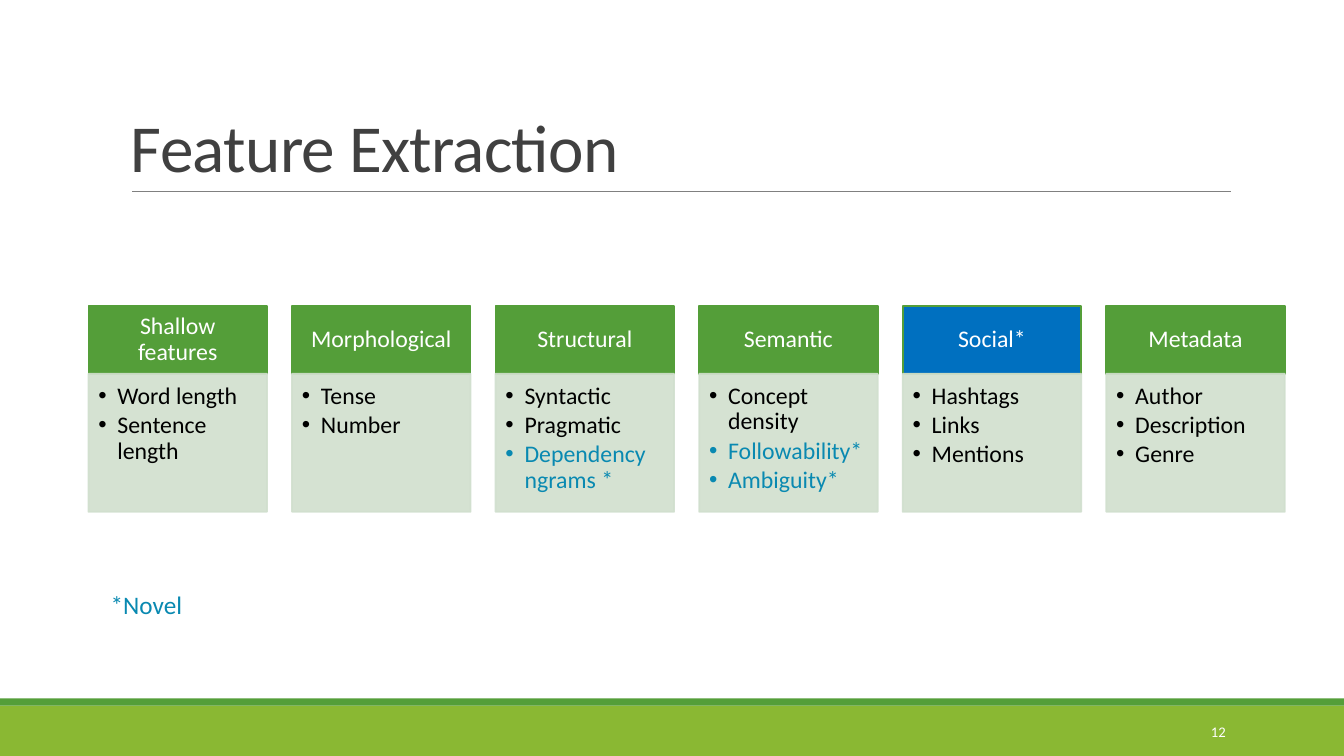
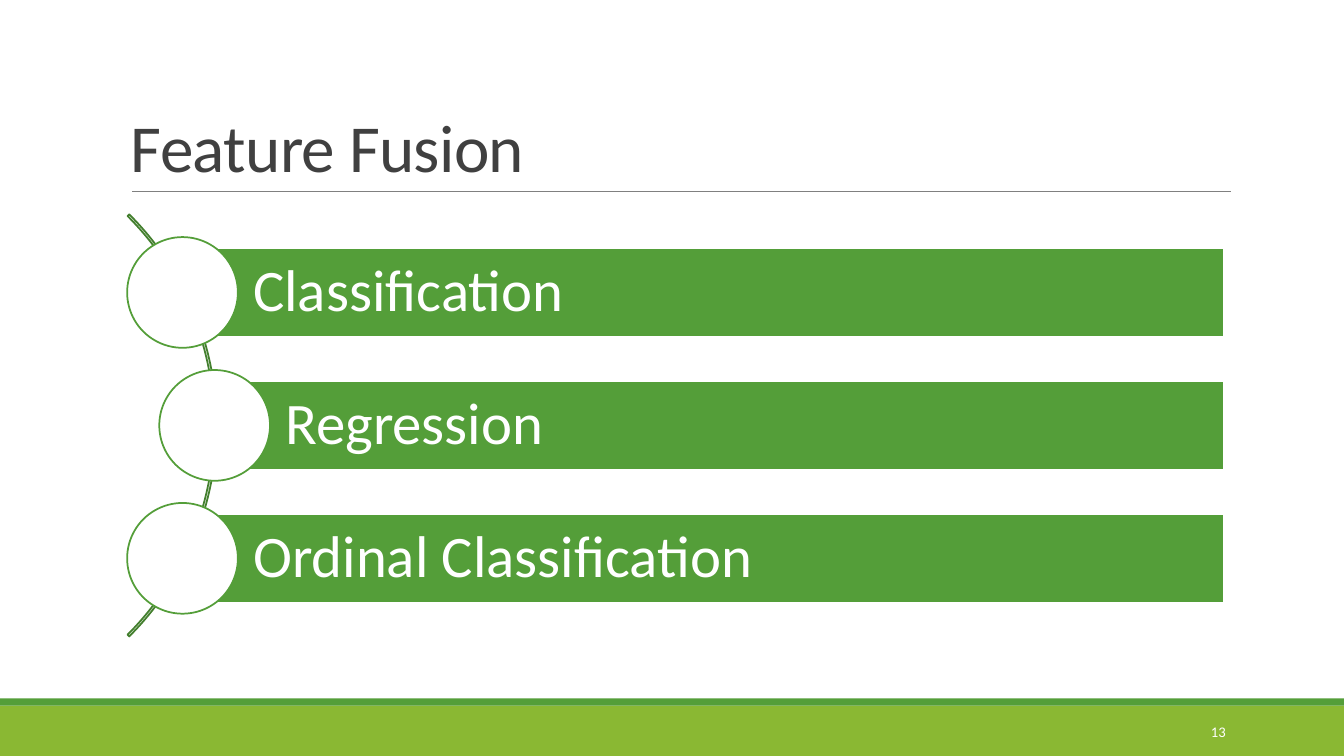
from dataclasses import dataclass
from typing import Any

from lxml import etree
from pptx import Presentation
from pptx.dml.color import RGBColor
from pptx.enum.shapes import MSO_CONNECTOR, MSO_SHAPE
from pptx.enum.text import MSO_ANCHOR, MSO_AUTO_SIZE, PP_ALIGN
from pptx.oxml.ns import qn
from pptx.util import Cm, Pt

RECT, OVAL, ARC = MSO_SHAPE.RECTANGLE, MSO_SHAPE.OVAL, MSO_SHAPE.BLOCK_ARC
STRAIGHT = MSO_CONNECTOR.STRAIGHT
TOP, MIDDLE, BOTTOM = MSO_ANCHOR.TOP, MSO_ANCHOR.MIDDLE, MSO_ANCHOR.BOTTOM
LEFT, CENTER, RIGHT = PP_ALIGN.LEFT, PP_ALIGN.CENTER, PP_ALIGN.RIGHT
NO_AUTOFIT = MSO_AUTO_SIZE.NONE
TITLE_ONLY = 5


@dataclass(frozen=True)
class Theme:
    font: str = "Calibri"
    green: str = "549E39"
    lime: str = "8AB833"
    dark_green: str = "437F2E"
    pale: str = "D1DFCE"
    blue: str = "0070C0"
    novel: str = "0989B1"
    title: str = "404040"
    rule: str = "808080"
    black: str = "000000"
    white: str = "FFFFFF"
    title_size: float = 48
    bar_size: float = 42
    card_size: float = 17
    note_size: float = 18
    number_size: float = 10.5
    outline: float = 1.25
    hairline: float = 0.5


THEME = Theme()


@dataclass(frozen=True)
class Box:
    left: float
    top: float
    width: float
    height: float

    def lengths(self) -> tuple:
        return Cm(self.left), Cm(self.top), Cm(self.width), Cm(self.height)


@dataclass(frozen=True)
class FeatureGroup:
    heading: str
    features: tuple[str, ...]
    novel: tuple[str, ...] = ()
    fill: str = THEME.green


@dataclass(frozen=True)
class FusionMethod:
    label: str
    left: float


@dataclass(frozen=True)
class TextStyle:
    size: float
    color: str
    align: Any = LEFT
    anchor: Any = MIDDLE
    insets: tuple[float, float, float, float] = (0.25, 0.13, 0.25, 0.13)
    line_spacing: float = 1.0
    space_after: float = 0


GROUPS = (
    FeatureGroup("Shallow features", ("Word length", "Sentence length")),
    FeatureGroup("Morphological", ("Tense", "Number")),
    FeatureGroup("Structural", ("Syntactic", "Pragmatic"), ("Dependency ngrams *",)),
    FeatureGroup("Semantic", ("Concept density",), ("Followability*", "Ambiguity*")),
    FeatureGroup("Social*", ("Hashtags", "Links", "Mentions"), fill=THEME.blue),
    FeatureGroup("Metadata", ("Author", "Description", "Genre")),
)
METHODS = (
    FusionMethod("Classification", 4.6),
    FusionMethod("Regression", 5.41),
    FusionMethod("Ordinal Classification", 4.6),
)

TITLE_STYLE = TextStyle(THEME.title_size, THEME.title, anchor=BOTTOM, line_spacing=0.85)
HEADING_STYLE = TextStyle(THEME.card_size, THEME.white, CENTER, MIDDLE,
                          (0.33, 0.2, 0.33, 0.2), 0.9)
FEATURE_STYLE = TextStyle(THEME.card_size, THEME.black, LEFT, TOP,
                          (0.25, 0.25, 0.33, 0.38), 0.9, 2.5)
BAR_STYLE = TextStyle(THEME.bar_size, THEME.white, insets=(1.78, 0.3, 0.3, 0.3),
                      line_spacing=0.9)
NUMBER_STYLE = TextStyle(THEME.number_size, THEME.white, RIGHT)
NOTE_STYLE = TextStyle(THEME.note_size, THEME.novel, anchor=TOP)

SLIDE_WIDTH, SLIDE_HEIGHT = 33.87, 19.05
CARD_LEFT, CARD_PITCH, CARD_WIDTH = 2.23, 5.13, 4.5
HEADING_TOP, HEADING_HEIGHT, FEATURES_HEIGHT = 7.72, 1.7, 3.48
BULLET_INDENT = 0.48
BAR_TOP, BAR_PITCH, BAR_HEIGHT, BAR_RIGHT = 6.25, 3.35, 2.24, 30.84
CIRCLE = 2.79


def apply(target: Any, values: dict[str, Any]) -> None:
    for name, value in values.items():
        setattr(target, name, value)


def add_bullet(paragraph: Any) -> None:
    properties = paragraph._p.get_or_add_pPr()
    properties.set("marL", str(Cm(BULLET_INDENT)))
    properties.set("indent", str(-Cm(BULLET_INDENT)))
    etree.SubElement(properties, qn("a:buFont")).set("typeface", "Arial")
    etree.SubElement(properties, qn("a:buChar")).set("char", "•")


def write(shape: Any, lines: list[tuple[str, str]], style: TextStyle,
          bulleted: bool = False) -> None:
    frame = shape.text_frame
    left, top, right, bottom = style.insets
    apply(frame, {
        "word_wrap": True, "auto_size": NO_AUTOFIT, "vertical_anchor": style.anchor,
        "margin_left": Cm(left), "margin_top": Cm(top),
        "margin_right": Cm(right), "margin_bottom": Cm(bottom),
    })
    for index, (text, color) in enumerate(lines):
        paragraph = frame.add_paragraph() if index else frame.paragraphs[0]
        apply(paragraph, {
            "alignment": style.align, "line_spacing": style.line_spacing,
            "space_before": Pt(0), "space_after": Pt(style.space_after),
        })
        if bulleted:
            add_bullet(paragraph)
        run = paragraph.add_run()
        run.text = text
        apply(run.font, {"name": THEME.font, "size": Pt(style.size)})
        run.font.color.rgb = RGBColor.from_string(color)


def add_block(slide: Any, kind: Any, box: Box, fill: str | None = None,
              line: str | None = None) -> Any:
    block = slide.shapes.add_shape(kind, *box.lengths())
    block.shadow.inherit = False
    if fill:
        block.fill.solid()
        block.fill.fore_color.rgb = RGBColor.from_string(fill)
    else:
        block.fill.background()
    if line:
        block.line.color.rgb = RGBColor.from_string(line)
        block.line.width = Pt(THEME.outline)
    else:
        block.line.fill.background()
    return block


def add_label(slide: Any, box: Box, text: str, style: TextStyle) -> None:
    label = slide.shapes.add_textbox(*box.lengths())
    write(label, [(text, style.color)], style)


def set_opacity(block: Any, percent: int) -> None:
    for color in block._element.spPr.iter(qn("a:srgbClr")):
        etree.SubElement(color, qn("a:alpha")).set("val", str(percent * 1000))


def add_base_slide(deck: Any, title: str, number: int) -> Any:
    slide = deck.slides.add_slide(deck.slide_layouts[TITLE_ONLY])
    add_block(slide, RECT, Box(0, 17.78, SLIDE_WIDTH, 1.27), THEME.lime)
    add_block(slide, RECT, Box(0, 17.6, SLIDE_WIDTH, 0.18), THEME.green)
    rule = slide.shapes.add_connector(STRAIGHT, Cm(3.33), Cm(4.83), Cm(31.01), Cm(4.83))
    rule.line.color.rgb = RGBColor.from_string(THEME.rule)
    rule.line.width = Pt(THEME.hairline)
    etree.SubElement(rule._element.spPr, qn("a:effectLst"))
    heading = slide.shapes.title
    left, top, width, height = Box(3.05, 0.79, 27.94, 4.04).lengths()
    apply(heading, {"left": left, "top": top, "width": width, "height": height})
    write(heading, [(title, THEME.title)], TITLE_STYLE)
    heading.text_frame.paragraphs[0].runs[0]._r.get_or_add_rPr().set("spc", "-50")
    add_label(slide, Box(27.51, 17.93, 3.63, 1.02), str(number), NUMBER_STYLE)
    return slide


def add_card(slide: Any, group: FeatureGroup, left: float) -> None:
    heading = add_block(slide, RECT, Box(left, HEADING_TOP, CARD_WIDTH, HEADING_HEIGHT),
                        group.fill, THEME.green)
    write(heading, [(group.heading, THEME.white)], HEADING_STYLE)
    features = add_block(
        slide, RECT,
        Box(left, HEADING_TOP + HEADING_HEIGHT, CARD_WIDTH, FEATURES_HEIGHT),
        THEME.pale, THEME.pale)
    set_opacity(features, 90)
    lines = [(text, THEME.black) for text in group.features]
    lines += [(text, THEME.novel) for text in group.novel]
    write(features, lines, FEATURE_STYLE, bulleted=True)


def add_method(slide: Any, method: FusionMethod, top: float) -> None:
    bar = add_block(slide, RECT,
                    Box(method.left, top, BAR_RIGHT - method.left, BAR_HEIGHT),
                    THEME.green, THEME.white)
    write(bar, [(method.label, THEME.white)], BAR_STYLE)
    circle_top = top + (BAR_HEIGHT - CIRCLE) / 2
    add_block(slide, OVAL, Box(method.left - CIRCLE / 2, circle_top, CIRCLE, CIRCLE),
              THEME.white, THEME.green)


def build_extraction(deck: Any) -> None:
    slide = add_base_slide(deck, "Feature Extraction", 12)
    for column, group in enumerate(GROUPS):
        add_card(slide, group, CARD_LEFT + column * CARD_PITCH)
    add_label(slide, Box(2.54, 14.71, 4.95, 1.02), "*Novel", NOTE_STYLE)


def build_fusion(deck: Any) -> None:
    slide = add_base_slide(deck, "Feature Fusion", 13)
    arc = add_block(slide, ARC, Box(-9.58, 3.2, 15.04, 15.04), line=THEME.dark_green)
    for index, value in enumerate((189, 27, 0.004)):
        arc.adjustments[index] = value
    for row, method in enumerate(METHODS):
        add_method(slide, method, BAR_TOP + row * BAR_PITCH)


def main() -> None:
    deck = Presentation()
    apply(deck, {"slide_width": Cm(SLIDE_WIDTH), "slide_height": Cm(SLIDE_HEIGHT)})
    build_extraction(deck)
    build_fusion(deck)
    deck.save("out.pptx")


if __name__ == "__main__":
    main()
